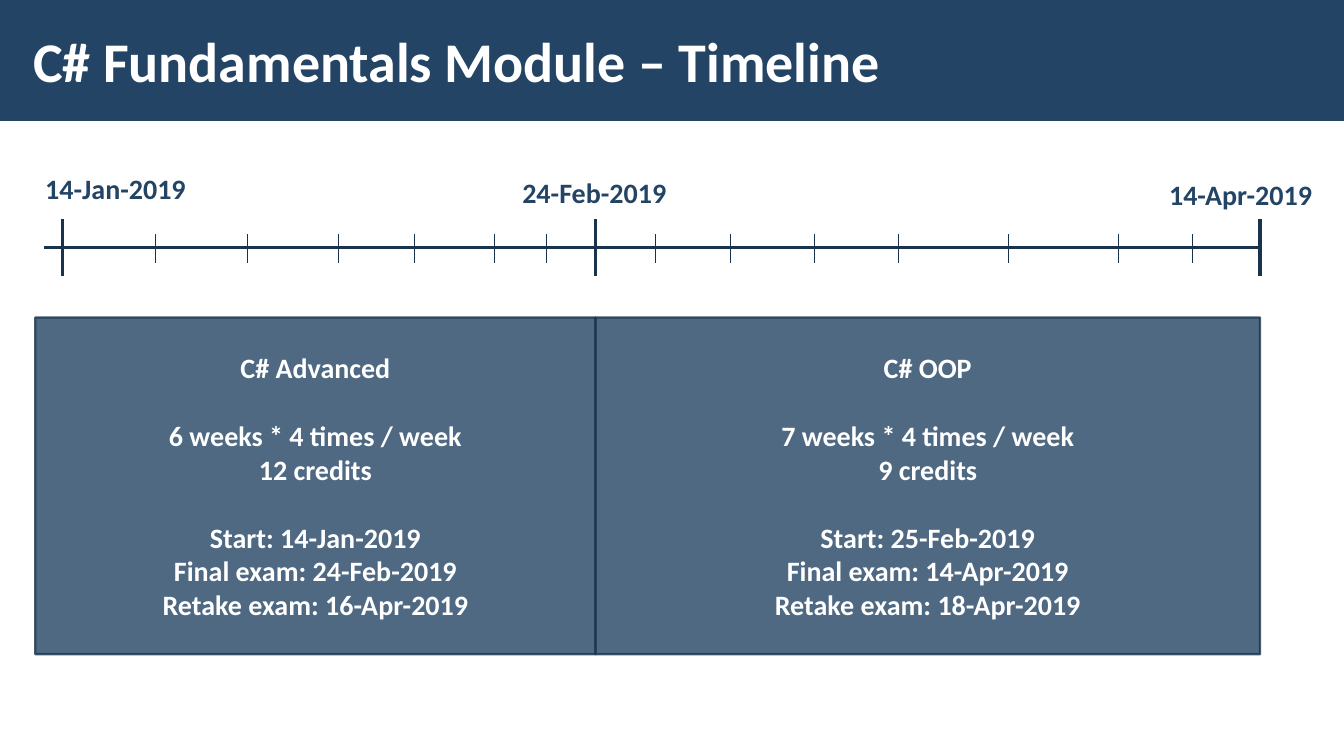
import pptx
import pptx.util
import pptx.dml.color
import pptx.enum.shapes
import pptx.enum.text
import pptx.oxml.ns
import lxml.etree

NAVY = pptx.dml.color.RGBColor(0x23, 0x44, 0x65)
DARK = pptx.dml.color.RGBColor(0x1A, 0x33, 0x4C)
WHITE = pptx.dml.color.RGBColor(0xFF, 0xFF, 0xFF)
RECT = pptx.enum.shapes.MSO_SHAPE.RECTANGLE
MIDDLE = pptx.enum.text.MSO_ANCHOR.MIDDLE
qn = pptx.oxml.ns.qn

prs = pptx.Presentation()
prs.slide_width = pptx.util.Inches(13.33)
prs.slide_height = pptx.util.Inches(7.5)
s = prs.slides.add_slide(prs.slide_layouts[6])

# Grid of 160 columns by 90 rows
COL, ROW = prs.slide_width / 160, prs.slide_height / 90


def cells(x, y, w, h):
    return [round(v) for v in (x * COL, y * ROW, w * COL, h * ROW)]


def write(p, text, size, color):
    r = p.add_run()
    r.text = text
    r.font.name = "Calibri"
    r.font.size = pptx.util.Pt(size)
    r.font.bold = True
    r.font.color.rgb = color


# Title band
band = s.shapes.add_shape(RECT, *cells(0, 0, 160, 14.4))
band.shadow.inherit = False
band.fill.solid()
band.fill.fore_color.rgb = NAVY
band.line.fill.background()

title = s.shapes.add_textbox(*cells(2.5, 1.3, 124.7, 11.7))
tf = title.text_frame
tf.word_wrap = True
tf.vertical_anchor = MIDDLE
tf.margin_left = tf.margin_right = pptx.util.Inches(0.12)
tf.margin_top = tf.margin_bottom = pptx.util.Inches(0.04)
write(tf.paragraphs[0], "C# Fundamentals Module – Timeline", 40, WHITE)

# Date labels
for x, y, w, date in [
    (4.2, 19.8, 19.3, "14-Jan-2019"),
    (61, 20.3, 19.7, "24-Feb-2019"),
    (138, 20.6, 19.8, "14-Apr-2019"),
]:
    tf = s.shapes.add_textbox(*cells(x, y, w, 5.3)).text_frame
    tf.word_wrap = False
    tf.auto_size = pptx.enum.text.MSO_AUTO_SIZE.SHAPE_TO_FIT_TEXT
    write(tf.paragraphs[0], date, 20, NAVY)

# Course blocks, one on each side of the middle date
START, MID, END = 7.4, 70.9, 150
for left, right, groups in [
    (4.2, MID, [
        ["C# Advanced"],
        ["6 weeks * 4 times / week", "12 credits"],
        ["Start: 14-Jan-2019", "Final exam: 24-Feb-2019", "Retake exam: 16-Apr-2019"],
    ]),
    (MID, END, [
        ["C# OOP"],
        ["7 weeks * 4 times / week", "9 credits"],
        ["Start: 25-Feb-2019", "Final exam: 14-Apr-2019", "Retake exam: 18-Apr-2019"],
    ]),
]:
    sp = s.shapes.add_shape(RECT, *cells(left, 37.8, right - left, 40.1))
    sp.shadow.inherit = False
    sp.fill.solid()
    sp.fill.fore_color.rgb = NAVY
    sp.line.color.rgb = DARK
    sp.line.width = pptx.util.Pt(1.5)
    for color in sp._element.spPr.iter(qn("a:srgbClr")):
        lxml.etree.SubElement(color, qn("a:alpha")).set("val", "80000")
    tf = sp.text_frame
    tf.word_wrap = True
    tf.vertical_anchor = MIDDLE
    for g, group in enumerate(groups):
        for i, text in enumerate(group):
            first = g == 0 and i == 0
            p = tf.paragraphs[0] if first else tf.add_paragraph()
            p.alignment = pptx.enum.text.PP_ALIGN.CENTER
            if g > 0 and i == 0:
                p.space_before = pptx.util.Pt(24.4)
            write(p, text, 20, WHITE)

# Timeline axis, main dates and week ticks
AXIS = 29.5
WEEKS = [18.5, 29.4, 40.3, 49.3, 58.9, 65, 78, 87, 97, 107, 120, 133.2, 142]
lines = [(5.2, AXIS, END, AXIS, 2.25)]
lines += [(x, AXIS - 3.4, x, AXIS + 3.4, 2.25) for x in (START, MID, END)]
lines += [(x, AXIS - 1.6, x, AXIS + 1.8, 0.5) for x in WEEKS]
for x1, y1, x2, y2, width in lines:
    line = s.shapes.add_connector(
        pptx.enum.shapes.MSO_CONNECTOR.STRAIGHT, *cells(x1, y1, x2, y2))
    line.line.color.rgb = DARK
    line.line.width = pptx.util.Pt(width)
    lxml.etree.SubElement(line._element.spPr, qn("a:effectLst"))

prs.save("out.pptx")
